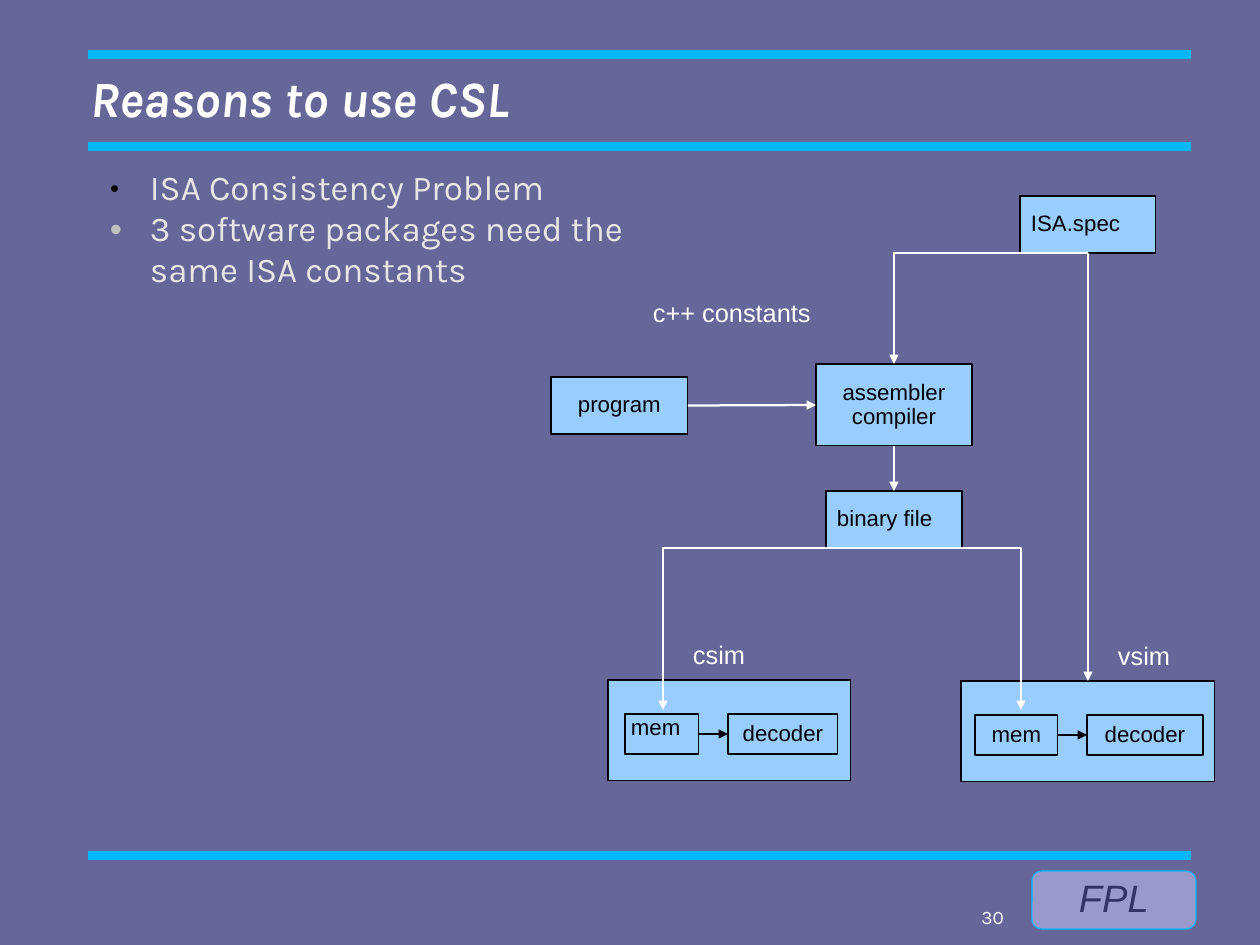
from lxml import etree
from pptx import Presentation
from pptx.dml.color import RGBColor
from pptx.enum.shapes import MSO_CONNECTOR, MSO_SHAPE
from pptx.enum.text import MSO_ANCHOR, MSO_AUTO_SIZE, PP_ALIGN
from pptx.oxml.ns import qn
from pptx.util import Emu, Pt

PX = 8000  # 45 px to the centimetre
STRAIGHT, ELBOW = MSO_CONNECTOR.STRAIGHT, MSO_CONNECTOR.ELBOW
RECTANGLE, ROUNDED = MSO_SHAPE.RECTANGLE, MSO_SHAPE.ROUNDED_RECTANGLE
TOP, MIDDLE = MSO_ANCHOR.TOP, MSO_ANCHOR.MIDDLE
LEFT, CENTER, RIGHT = PP_ALIGN.LEFT, PP_ALIGN.CENTER, PP_ALIGN.RIGHT
NO_AUTOFIT = MSO_AUTO_SIZE.NONE
SIDE_TOP, SIDE_LEFT, SIDE_BOTTOM, SIDE_RIGHT = range(4)

BACKGROUND = RGBColor(0x66, 0x66, 0x99)
RULE_BLUE = RGBColor(0x00, 0xB8, 0xFF)
BADGE_FILL = RGBColor(0x99, 0x99, 0xCC)
BADGE_TEXT = RGBColor(0x33, 0x33, 0x66)
BOX_FILL = RGBColor(0x99, 0xCC, 0xFF)
BODY_TEXT = RGBColor(0xE6, 0xE6, 0xE6)
SILVER = RGBColor(0xC0, 0xC0, 0xC0)
WHITE = RGBColor(0xFF, 0xFF, 0xFF)
BLACK = RGBColor(0, 0, 0)

PADDING = (11, 6, 11, 6)
NO_PADDING = (0, 0, 0, 0)


def px(*values):
    return [Emu(value * PX) for value in values]


def place(shape, box):
    shape.left, shape.top, shape.width, shape.height = px(*box)


def set_frame(shape, padding=PADDING, anchor=TOP, wrap=True):
    frame = shape.text_frame
    frame.auto_size = NO_AUTOFIT
    frame.word_wrap = wrap
    frame.vertical_anchor = anchor
    (frame.margin_left, frame.margin_top,
     frame.margin_right, frame.margin_bottom) = px(*padding)
    return frame


def write(paragraph, text, size, color, font="Arial", align=LEFT,
          spacing=0.93, bold=False, italic=False):
    paragraph.alignment = align
    paragraph.line_spacing = spacing
    paragraph.space_before = Pt(0)
    run = paragraph.add_run()
    run.text = text
    run.font.name, run.font.size = font, Pt(size)
    run.font.bold, run.font.italic = bold, italic
    run.font.color.rgb = color


def add_label(slide, text, box, padding=PADDING, size=16, **style):
    label = slide.shapes.add_textbox(*px(*box))
    frame = set_frame(label, padding)
    write(frame.paragraphs[0], text, size, WHITE, **style)


def add_box(slide, box, lines=(), align=CENTER, padding=PADDING, anchor=MIDDLE,
            kind=RECTANGLE, fill=BOX_FILL, line=BLACK):
    shape = slide.shapes.add_shape(kind, *px(*box))
    shape.shadow.inherit = False
    shape.fill.solid()
    shape.fill.fore_color.rgb = fill
    shape.line.color.rgb = line
    shape.line.width = Pt(0.75)
    frame = set_frame(shape, padding, anchor, wrap=align == LEFT)
    for index, text in enumerate(lines):
        paragraph = frame.add_paragraph() if index else frame.paragraphs[0]
        write(paragraph, text, 14, BLACK, align=align)
    return shape


def add_line(slide, start, end, color, width, kind=STRAIGHT, arrow=True):
    line = slide.shapes.add_connector(kind, *px(*start, *end))
    line.line.color.rgb = color
    line.line.width = Pt(width)
    properties = line._element.spPr
    if arrow:
        etree.SubElement(properties.find(qn("a:ln")), qn("a:tailEnd"), type="triangle")
    etree.SubElement(properties, qn("a:effectLst"))
    return line


def join(slide, source, source_side, target, target_side, color=WHITE, width=1.42):
    arrow = add_line(slide, (0, 0), (1, 1), color, width)
    arrow.begin_connect(source, source_side)
    arrow.end_connect(target, target_side)


def add_elbow(slide, start, end):
    """Arrow that runs level from start, then drops to end."""
    arrow = add_line(slide, start, end, WHITE, 1.42, ELBOW)
    arrow._element.spPr.find(qn("a:prstGeom")).set("prst", "bentConnector2")


def set_bullet(paragraph, char, color, percent):
    properties = paragraph._p.get_or_add_pPr()
    margin, indent = px(54, -40)
    properties.set("marL", str(margin))
    properties.set("indent", str(indent))
    bullet_color = etree.SubElement(properties, qn("a:buClr"))
    etree.SubElement(bullet_color, qn("a:srgbClr"), val=str(color))
    etree.SubElement(properties, qn("a:buSzPct"), val=str(percent * 1000))
    etree.SubElement(properties, qn("a:buFont"), typeface="Arial")
    etree.SubElement(properties, qn("a:buChar"), char=char)


def add_page_furniture(slide):
    slide.background.fill.solid()
    slide.background.fill.fore_color.rgb = BACKGROUND
    for y in (54, 147, 855):
        add_line(slide, (88, y), (1191, y), RULE_BLUE, 5.67, arrow=False)
    badge = add_box(slide, (1032, 871, 164, 58), padding=NO_PADDING,
                    kind=ROUNDED, fill=BADGE_FILL, line=RULE_BLUE)
    write(badge.text_frame.paragraphs[0], "FPL", 24, BADGE_TEXT,
          align=CENTER, italic=True)
    add_label(slide, "30", (903, 907, 101, 26), NO_PADDING, 12,
              font="Karla", align=RIGHT, spacing=0.95)


def fill_title(slide, box):
    title = slide.shapes.title
    place(title, box)
    frame = set_frame(title, NO_PADDING, MIDDLE)
    write(frame.paragraphs[0], "Reasons to use CSL", 32, WHITE, "Karla",
          spacing=0.98, bold=True, italic=True)


def fill_body(slide, box):
    body = slide.placeholders[1]
    place(body, box)
    frame = set_frame(body, NO_PADDING)
    points = (("ISA Consistency Problem", "●", BLACK, 45),
              ("3 software packages need the same ISA constants", "•", SILVER, 100))
    for index, (text, *bullet) in enumerate(points):
        paragraph = frame.add_paragraph() if index else frame.paragraphs[0]
        set_bullet(paragraph, *bullet)
        write(paragraph, text, 22, BODY_TEXT, "Karla", spacing=0.98)


def add_simulator(slide, name, box, label_offset, mem_span, decoder_span, **mem_style):
    """Spans are (offset, width) pairs measured from the left of the box."""
    left, top, _, _ = box
    simulator = add_box(slide, box)
    add_label(slide, name, (left + label_offset, top - 44, 90, 42))
    mem, decoder = (
        add_box(slide, (left + offset, top + 34, width, 40), [text], **style)
        for text, (offset, width), style in (("mem", mem_span, mem_style),
                                             ("decoder", decoder_span, {})))
    join(slide, mem, SIDE_RIGHT, decoder, SIDE_LEFT, BLACK, 0.75)
    return simulator


def add_flow(slide, left, top):
    isa_file = add_box(slide, (left + 469, top, 136, 57), ["ISA.spec"], LEFT)
    program = add_box(slide, (left, top + 181, 137, 57), ["program"])
    assembler = add_box(slide, (left + 265, top + 168, 156, 82),
                        ["assembler", "compiler"])
    binary = add_box(slide, (left + 275, top + 295, 136, 57), ["binary file"], LEFT)
    add_label(slide, "c++ constants", (left + 91, top + 98, 217, 49))
    add_simulator(slide, "csim", (left + 57, top + 484, 243, 101), 74,
                  (17, 74), (120, 110), align=LEFT, padding=(6, 2, 0, 0), anchor=TOP)
    vsim = add_simulator(slide, "vsim", (left + 410, top + 485, 254, 101), 146,
                         (14, 83), (126, 116))
    join(slide, program, SIDE_RIGHT, assembler, SIDE_LEFT)
    join(slide, assembler, SIDE_BOTTOM, binary, SIDE_TOP)
    join(slide, isa_file, SIDE_BOTTOM, vsim, SIDE_TOP)
    add_elbow(slide, (left + 537, top + 57), (left + 343, top + 168))
    for x in (112, 470):
        add_elbow(slide, (left + 343, top + 352), (left + x, top + 514))


def main():
    presentation = Presentation()
    presentation.slide_width, presentation.slide_height = px(1260, 945)
    slide = presentation.slides.add_slide(presentation.slide_layouts[1])
    add_page_furniture(slide)
    fill_title(slide, (90, 32, 1076, 135))
    fill_body(slide, (96, 168, 535, 695))
    add_flow(slide, 551, 196)
    presentation.save("out.pptx")


if __name__ == "__main__":
    main()
